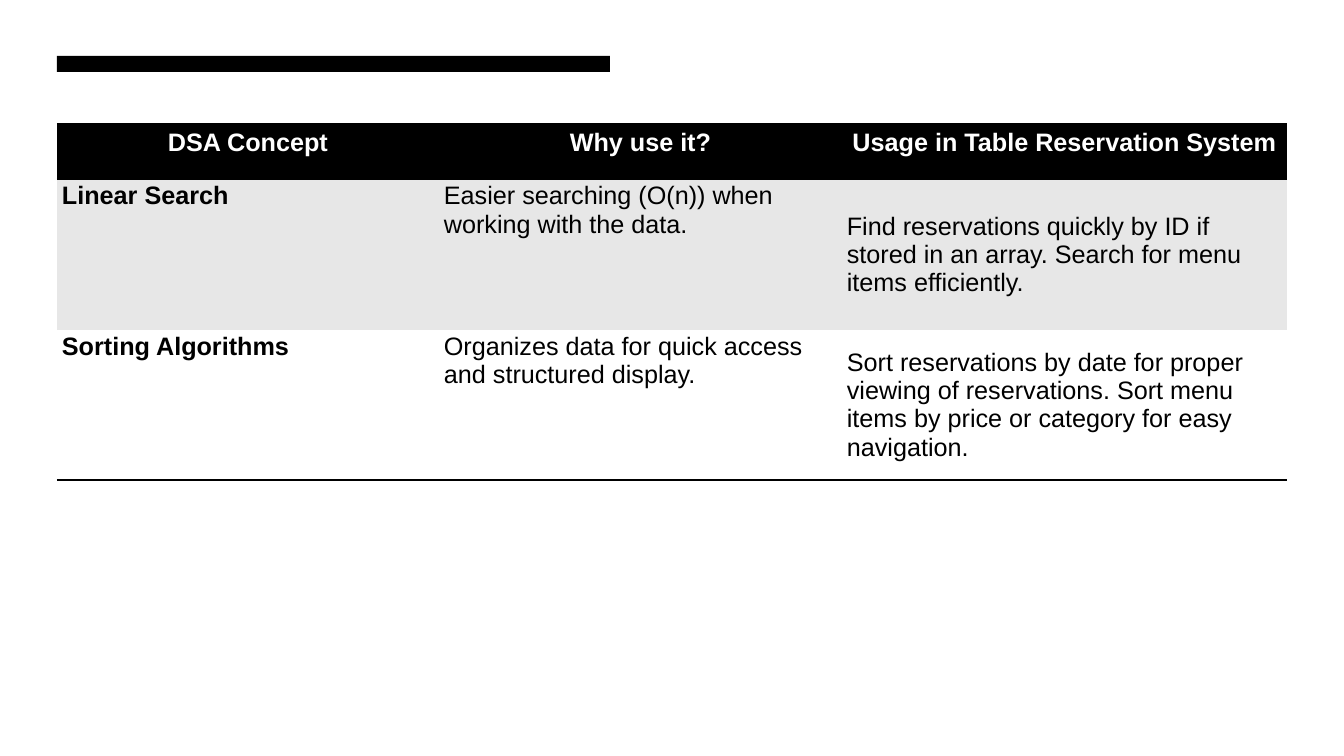
from lxml import etree
from pptx import Presentation
from pptx.dml.color import RGBColor
from pptx.enum.shapes import MSO_SHAPE as Shape
from pptx.enum.text import MSO_ANCHOR as Anchor, PP_ALIGN as Align
from pptx.oxml.ns import qn
from pptx.util import Pt

ROWS = [
    ("DSA Concept", "Why use it?", "Usage in Table Reservation System"),
    (
        "Linear Search",
        "Easier searching (O(n)) when working with the data.",
        "Find reservations quickly by ID if stored in an array. Search for menu items efficiently.",
    ),
    (
        "Sorting Algorithms",
        "Organizes data for quick access and structured display.",
        "Sort reservations by date for proper viewing of reservations. "
        "Sort menu items by price or category for easy navigation.",
    ),
]
COLORS = {"black": "000000", "white": "FFFFFF", "band": "E7E7E7"}
ROW_FILLS = ["black", "band", "white"]
ROW_EDGES = [("lnT", "lnB"), ("lnT",), ("lnB",)]
COLUMN_WIDTHS = [382, 403, 445]
ROW_HEIGHTS = [55, 151, 150]
LEFT, TABLE_TOP = 57, 124
BAR = (LEFT, 56, 553, 16)
SLIDE_SIZE = (1344, 756)
EMU_PER_INCH, PX_PER_INCH = 914400, 100.8
BODY_MARGINS = {"margin_left": 5, "margin_right": 5, "margin_top": 3, "margin_bottom": 3}


def px(length):
    return round(length * EMU_PER_INCH / PX_PER_INCH)


def color(name):
    return RGBColor.from_string(COLORS[name])


def set_borders(cell, edges):
    properties = cell._tc.get_or_add_tcPr()
    for position, edge in enumerate(("lnL", "lnR", "lnT", "lnB")):
        line = etree.Element(qn(f"a:{edge}"))
        if edge in edges:
            line.set("w", str(Pt(2)))
            fill = etree.SubElement(line, qn("a:solidFill"))
            etree.SubElement(fill, qn("a:srgbClr"), val=COLORS["black"])
        else:
            etree.SubElement(line, qn("a:noFill"))
        properties.insert(position, line)


def fill_cell(cell, text, row, column):
    header = row == 0
    cell.text = text
    cell.fill.solid()
    cell.fill.fore_color.rgb = color(ROW_FILLS[row])
    if not header:
        for name, value in BODY_MARGINS.items():
            setattr(cell, name, px(value))
    cell.vertical_anchor = Anchor.MIDDLE if column == 2 and not header else Anchor.TOP
    paragraph = cell.text_frame.paragraphs[0]
    paragraph.alignment = Align.CENTER if header else Align.LEFT
    font = paragraph.runs[0].font
    font_format = {"name": "Arial", "size": Pt(18), "bold": header or column == 0}
    for name, value in font_format.items():
        setattr(font, name, value)
    font.color.rgb = color("white" if header else "black")
    set_borders(cell, ROW_EDGES[row])


def add_bar(slide):
    bar = slide.shapes.add_shape(Shape.RECTANGLE, *map(px, BAR))
    bar.shadow.inherit = False
    bar.fill.solid()
    bar.fill.fore_color.rgb = color("black")
    bar.line.fill.background()


def add_concept_table(slide):
    bounds = (LEFT, TABLE_TOP, sum(COLUMN_WIDTHS), sum(ROW_HEIGHTS))
    table = slide.shapes.add_table(len(ROWS), len(COLUMN_WIDTHS), *map(px, bounds)).table
    table.horz_banding = False
    for column, width in zip(table.columns, COLUMN_WIDTHS):
        column.width = px(width)
    for row, height in zip(table.rows, ROW_HEIGHTS):
        row.height = px(height)
    for row, texts in enumerate(ROWS):
        for column, text in enumerate(texts):
            fill_cell(table.cell(row, column), text, row, column)


def main():
    presentation = Presentation()
    presentation.slide_width, presentation.slide_height = map(px, SLIDE_SIZE)
    slide = presentation.slides.add_slide(presentation.slide_layouts[6])
    add_bar(slide)
    add_concept_table(slide)
    presentation.save("out.pptx")


if __name__ == "__main__":
    main()
